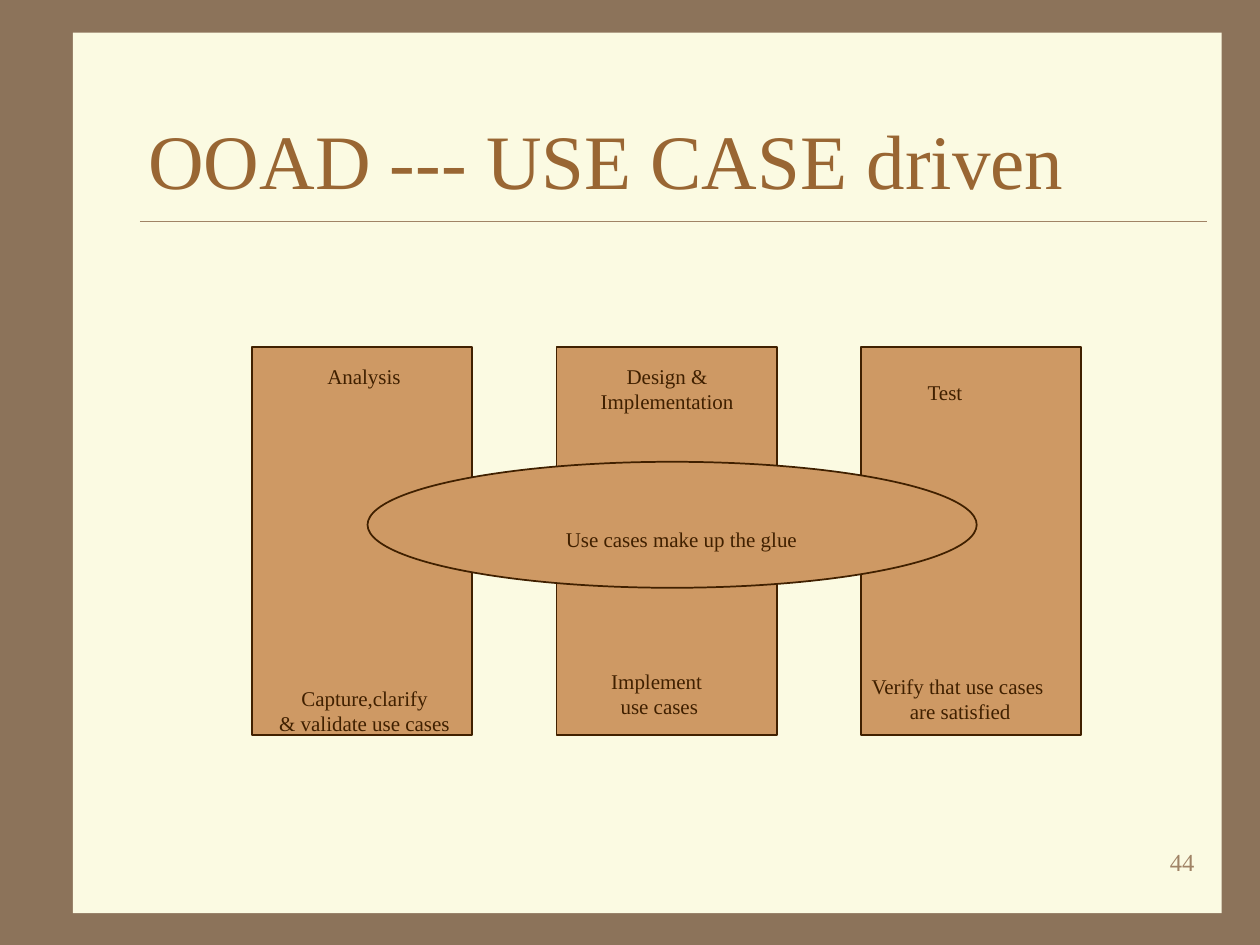
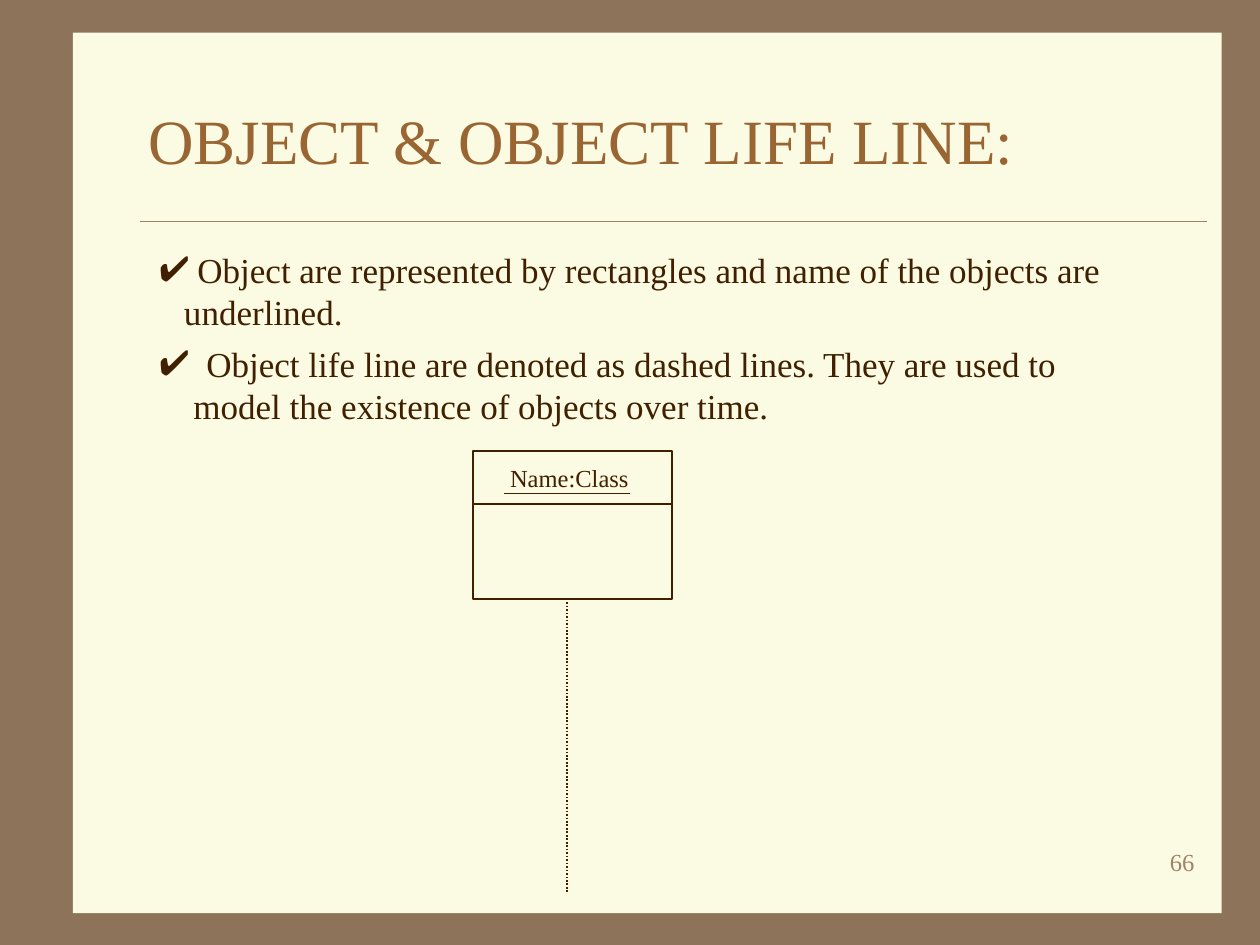
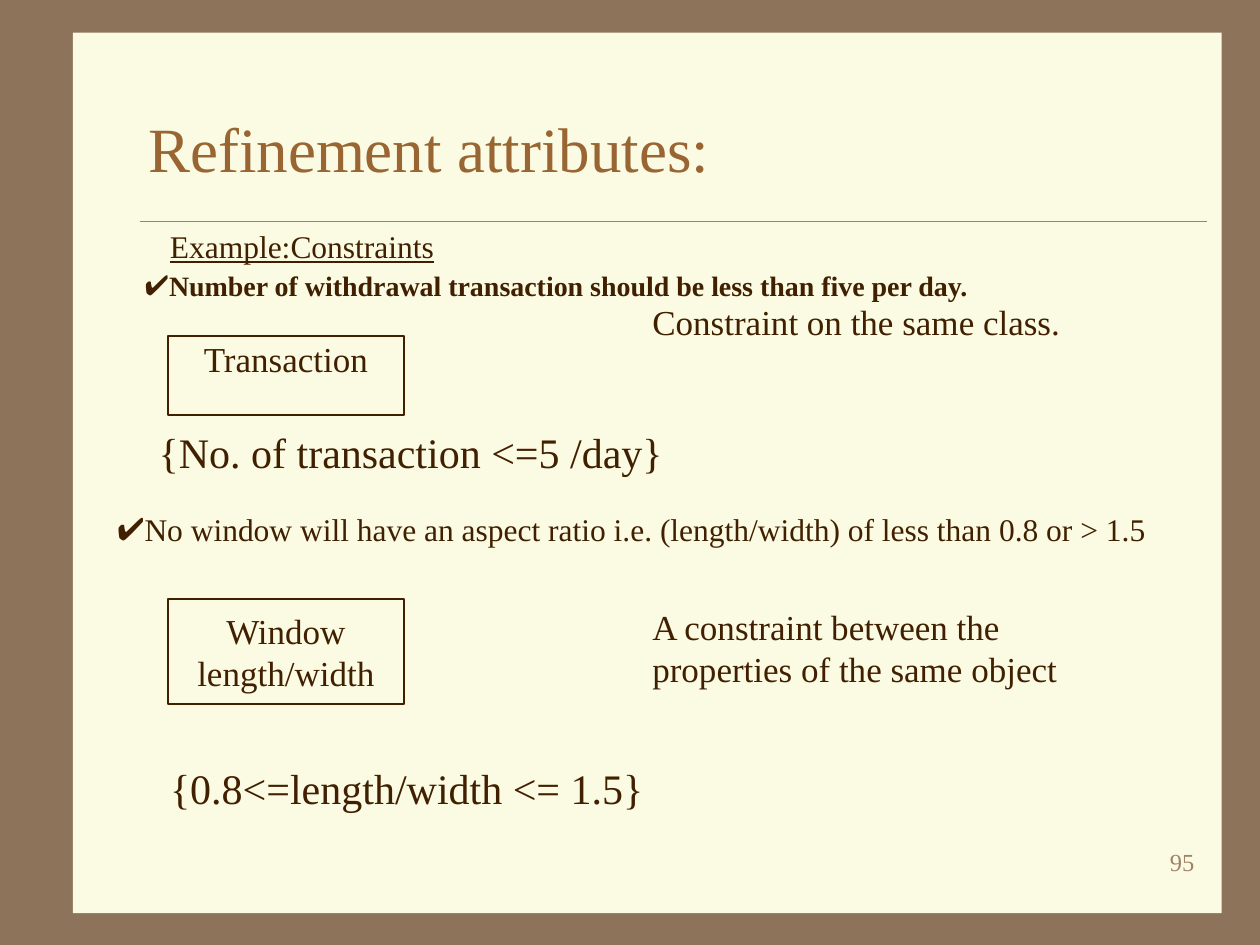
from lxml import etree
from pptx import Presentation
from pptx import util as u
from pptx.dml.color import RGBColor
from pptx.enum import dml, shapes, text
from pptx.oxml import ns

Cm = u.Cm
RECT = shapes.MSO_SHAPE.RECTANGLE
OVAL = shapes.MSO_SHAPE.OVAL
LEFT, MID, RIGHT = text.PP_ALIGN.LEFT, text.PP_ALIGN.CENTER, text.PP_ALIGN.RIGHT


def color(code):
    return RGBColor.from_string(code)


class Deck:
    FONT = "Times New Roman"
    EDGE, PAPER, CLAY = "8C735A", "FBFAE2", "CE9964"
    INK, HEAD, FAINT = "402000", "996633", "A08366"

    def __init__(self):
        self.prs = Presentation()
        self.prs.slide_width, self.prs.slide_height = Cm(25.4), Cm(19.05)
        self.layout = self.prs.slide_layouts[5]
        fill = self.layout.background.fill
        fill.solid()
        fill.fore_color.rgb = color(self.EDGE)

    def page(self, title, size, pad, number):
        self.slide = self.prs.slides.add_slide(self.layout)
        self.items = self.slide.shapes
        self.box(1.47, 0.66, 23.16, 17.75, fill=self.PAPER, edge=None)
        self.line(2.82, 4.45, 24.33, 4.45, self.FAINT, 0.25)
        self.label([number], 19.05, 16.94, 5.28, 14, RIGHT, wrap=True, ink=self.FAINT)
        head = self.items.title
        self.items.element.append(head.element)
        head.left, head.top, head.width, head.height = Cm(2.74), Cm(1.27), Cm(21.59), Cm(3.18)
        self.letter(head, [title], size, LEFT, True, self.HEAD)
        head.text_frame.vertical_anchor = text.MSO_ANCHOR.MIDDLE
        head.text_frame.margin_top = Cm(pad)

    def letter(self, shape, lines, size, align, wrap, ink, bold=None, under=None,
               mark=False, dents=()):
        frame = shape.text_frame
        frame.word_wrap = wrap
        frame.auto_size = text.MSO_AUTO_SIZE.NONE
        frame.margin_left = frame.margin_right = Cm(0.25)
        frame.margin_top = frame.margin_bottom = Cm(0.13)
        for i, line in enumerate(lines):
            para = frame.paragraphs[0] if i == 0 else frame.add_paragraph()
            para.alignment = align
            dent = dents[i] if dents else 0
            if mark and i == 0:
                self.bullet(para, dent, ink)
            elif dent:
                para._p.get_or_add_pPr().set("marL", str(Cm(dent)))
            run = para.add_run()
            run.text = line
            font = run.font
            font.name, font.size, font.bold, font.underline = self.FONT, u.Pt(size), bold, under
            font.color.rgb = color(ink)

    def bullet(self, para, dent, ink):
        props = para._p.get_or_add_pPr()
        props.set("marL", str(Cm(dent)))
        props.set("indent", str(-Cm(dent)))
        tint = etree.SubElement(props, ns.qn("a:buClr"))
        etree.SubElement(tint, ns.qn("a:srgbClr"), val=ink)
        etree.SubElement(props, ns.qn("a:buFont"), typeface="Arial")
        etree.SubElement(props, ns.qn("a:buChar"), char="✔")

    def label(self, lines, x, y, w, size, align=LEFT, wrap=False, ink=INK, **style):
        tall = 0.25 + len(lines) * size * 0.0423
        shape = self.items.add_textbox(Cm(x), Cm(y), Cm(w), Cm(tall))
        self.letter(shape, lines, size, align, wrap, ink, **style)

    def box(self, x, y, w, h, kind=RECT, fill=PAPER, edge=INK, lines=(), size=12):
        shape = self.items.add_shape(kind, Cm(x), Cm(y), Cm(w), Cm(h))
        shape.shadow.inherit = False
        shape.fill.solid()
        shape.fill.fore_color.rgb = color(fill)
        if edge:
            shape.line.color.rgb = color(edge)
            shape.line.width = u.Pt(1)
        else:
            shape.line.fill.background()
        if lines:
            self.letter(shape, lines, size, MID, False, self.INK)
            shape.text_frame.vertical_anchor = text.MSO_ANCHOR.MIDDLE
        return shape

    def line(self, x1, y1, x2, y2, ink=INK, width=1, dash=None):
        rule = self.items.add_connector(
            shapes.MSO_CONNECTOR.STRAIGHT, Cm(x1), Cm(y1), Cm(x2), Cm(y2))
        rule.line.color.rgb = color(ink)
        rule.line.width = u.Pt(width)
        if dash:
            rule.line.dash_style = dash
        etree.SubElement(rule.element.spPr, ns.qn("a:effectLst"))


def glue(deck):
    deck.page("OOAD --- USE CASE driven", 44, 0.81, "44")
    for col in range(3):
        deck.box(5.08 + col * 6.14, 6.99, 4.44, 7.83, fill=deck.CLAY)
    deck.box(7.41, 9.31, 12.28, 2.54, OVAL, deck.CLAY)
    for lines, x, y, w in (
        (["Capture,clarify", "& validate use cases"], 5.38, 13.69, 3.94),
        (["Analysis"], 6.35, 7.19, 1.98),
        (["Design &", "Implementation"], 11.86, 7.19, 3.18),
        (["Implement", " use cases"], 12.07, 13.34, 2.34),
        (["Use cases make up the glue"], 11.15, 10.49, 5.18),
        (["Test"], 18.44, 7.52, 1.22),
        (["Verify that use cases", " are satisfied"], 17.3, 13.44, 4.01),
    ):
        deck.label(lines, x, y, w, 12, MID)


def life(deck):
    deck.page("OBJECT & OBJECT LIFE LINE:", 36, 0.03, "66")
    deck.label(["Object are represented by rectangles and name of the objects are",
                "underlined."], 2.96, 4.87, 19.69, 20, wrap=True, mark=True, dents=(0.77, 0.5))
    deck.label(["Object life line are denoted as dashed lines. They are used to",
                "model the existence of objects over time."],
               2.96, 6.77, 19.05, 20, wrap=True, mark=True, dents=(0.95, 0.69))
    deck.box(9.53, 9.1, 4.02, 1.06, lines=["Name:Class "], size=14)
    deck.box(9.53, 10.16, 4.02, 1.91)
    deck.line(11.43, 12.07, 11.43, 17.99, dash=dml.MSO_LINE.ROUND_DOT)
    deck.line(10.16, 9.95, 12.7, 9.95)


def refine(deck):
    deck.page("Refinement attributes:", 36, 0.33, "95")
    deal = deck.box(3.39, 6.77, 4.75, 1.6, lines=["Transaction"], size=20)
    deal.text_frame.vertical_anchor = text.MSO_ANCHOR.TOP
    deal.text_frame.margin_top = Cm(0.03)
    deck.box(3.39, 12.07, 4.75, 2.12, lines=["Window", "length/width"], size=20)
    deck.label(["{No. of transaction <=5 /day}"], 2.95, 8.47, 10.67, 24)
    deck.label(["{0.8<=length/width <= 1.5}"], 3.18, 15.24, 10.06, 24)
    deck.label(["Constraint on the same class."], 12.9, 5.93, 8.74, 20)
    deck.label(["A constraint between the", "properties of the same object"],
               12.9, 12.07, 13.72, 20, wrap=True)
    deck.label(["No window will have an aspect ratio i.e. (length/width) of less than 0.8 or > 1.5"],
               2.11, 10.16, 23.65, 18, wrap=True, mark=True)
    deck.label(["Number of withdrawal transaction should be less than five per day."],
               0.84, 5.29, 20.75, 16, MID, wrap=True, mark=True, bold=True)
    deck.label(["Example:Constraints"], 3.18, 4.45, 5.82, 18, MID, under=True)


def main():
    deck = Deck()
    for draw in (glue, life, refine):
        draw(deck)
    deck.prs.save("out.pptx")


if __name__ == "__main__":
    main()
